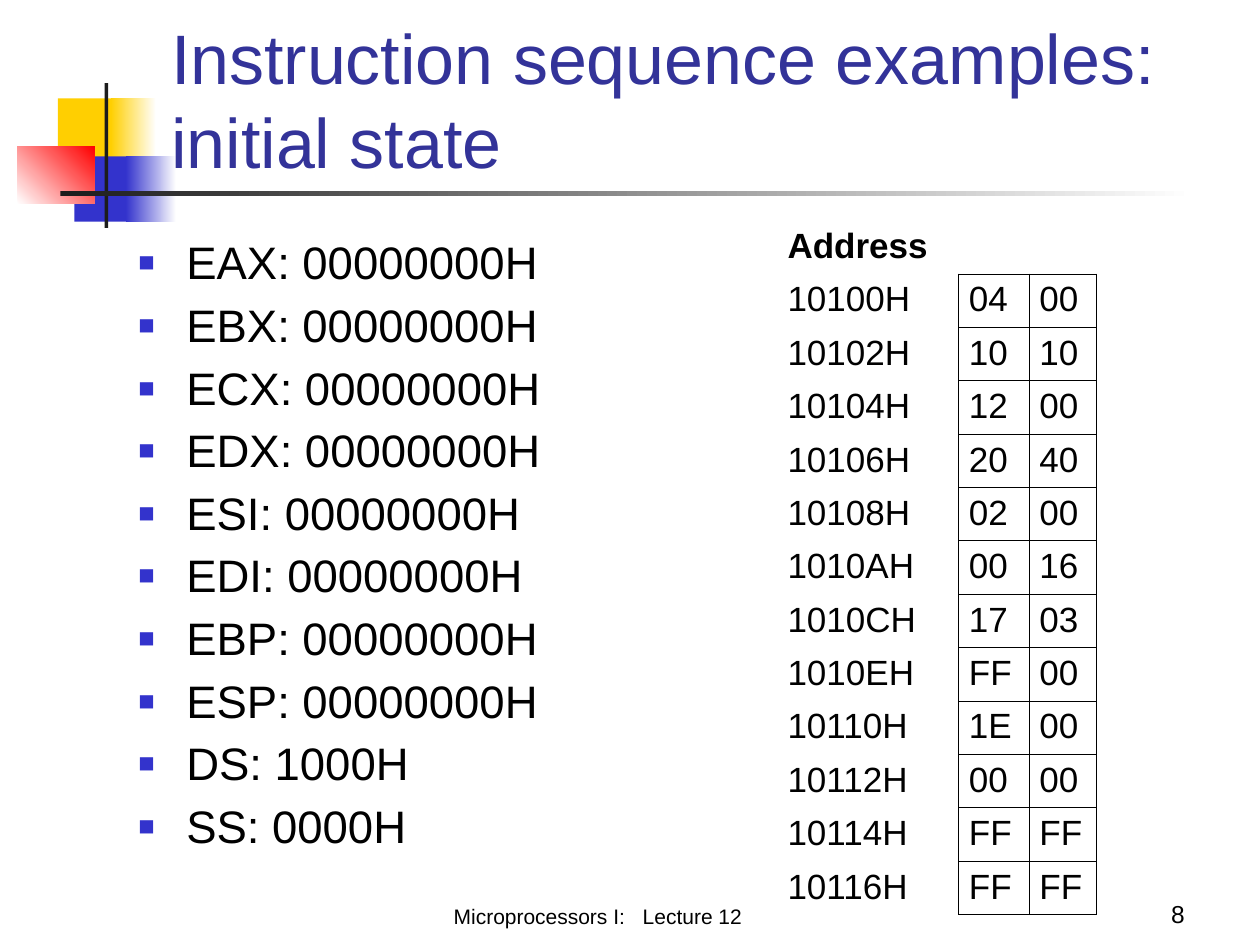
"""Build the slide on the initial state for instruction sequence examples."""
from lxml import etree
from pptx import Presentation
from pptx.dml.color import RGBColor
from pptx.enum.shapes import MSO_SHAPE
from pptx.enum.text import MSO_ANCHOR, PP_ALIGN
from pptx.oxml.ns import qn
from pptx.util import Inches, Pt

RECT = MSO_SHAPE.RECTANGLE
TOP, BOTTOM = MSO_ANCHOR.TOP, MSO_ANCHOR.BOTTOM
LEFT, CENTER, RIGHT = PP_ALIGN.LEFT, PP_ALIGN.CENTER, PP_ALIGN.RIGHT
JUSTIFY = PP_ALIGN.JUSTIFY

THEME = {
    "font": "Arial",
    "title": "333399", "text": "000000", "paper": "FFFFFF",
    "gold": "FFCF01", "blue": "3333CC", "red": "FF0000", "dark": "1C1C1C",
    "title_size": 40, "list_size": 26, "table_size": 20,
    "foot_size": 12, "page_size": 14,
}

TITLE = "Instruction sequence examples: initial state"
ZERO = "00000000H"
STATE = [(name, ZERO) for name in
         ("EAX", "EBX", "ECX", "EDX", "ESI", "EDI", "EBP", "ESP")]
STATE += [("DS", "1000H"), ("SS", "0000H")]
MEMORY = [
    ("Address", "", ""),
    ("10100H", "04", "00"),
    ("10102H", "10", "10"),
    ("10104H", "12", "00"),
    ("10106H", "20", "40"),
    ("10108H", "02", "00"),
    ("1010AH", "00", "16"),
    ("1010CH", "17", "03"),
    ("1010EH", "FF", "00"),
    ("10110H", "1E", "00"),
    ("10112H", "00", "00"),
    ("10114H", "FF", "FF"),
    ("10116H", "FF", "FF"),
]
COURSE, LECTURE, PAGE = "Microprocessors I:", "Lecture 12", "8"

DECOR = [
    ((0.46, 0.78, 0.48, 0.52), ("gold",), 0),
    ((0.88, 0.78, 0.36, 0.52), ("gold", "paper"), 0),
    ((0.59, 1.24, 0.46, 0.52), ("blue",), 0),
    ((1, 1.24, 0.4, 0.52), ("blue", "paper"), 0),
    ((0.14, 1.16, 0.61, 0.46), ("paper", "red"), 45),
    ((0.83, 0.66, 0.03, 1.15), ("dark",), 0),
    ((0.48, 1.52, 9, 0.04), ("dark", "paper"), 0),
]
COLUMNS = (1.44, 0.56, 0.53)
ROW = 0.41


def color(key):
    return RGBColor.from_string(THEME[key])


def add_run(para, text, size, key="text", bold=False):
    run = para.add_run()
    run.text = text
    run.font.name = THEME["font"]
    run.font.size = Pt(THEME[size])
    run.font.bold = bold
    run.font.color.rgb = color(key)
    return run


def add_box(slide, place, anchor, align=LEFT):
    frame = slide.shapes.add_textbox(*map(Inches, place)).text_frame
    frame.word_wrap = True
    frame.vertical_anchor = anchor
    frame.paragraphs[0].alignment = align
    return frame


def add_decor(slide):
    for place, keys, angle in DECOR:
        shape = slide.shapes.add_shape(RECT, *map(Inches, place))
        shape.shadow.inherit = False
        shape.line.fill.background()
        if len(keys) == 1:
            shape.fill.solid()
            shape.fill.fore_color.rgb = color(keys[0])
        else:
            shape.fill.gradient()
            shape.fill.gradient_angle = angle
            for stop, key in zip(shape.fill.gradient_stops, keys):
                stop.color.rgb = color(key)


def add_bullet(para):
    props = para._p.get_or_add_pPr()
    props.set("marL", str(Inches(0.38)))
    props.set("indent", str(-Inches(0.38)))
    tint = etree.SubElement(props, qn("a:buClr"))
    etree.SubElement(tint, qn("a:srgbClr"), val=THEME["blue"])
    etree.SubElement(props, qn("a:buSzPct"), val="60000")
    etree.SubElement(props, qn("a:buFont"), typeface=THEME["font"])
    etree.SubElement(props, qn("a:buChar"), char="■")


def add_state(slide):
    frame = add_box(slide, (1, 1.83, 4.31, 4.87), TOP)
    frame.margin_top = Inches(0.08)
    for i, (name, value) in enumerate(STATE):
        para = frame.add_paragraph() if i else frame.paragraphs[0]
        add_bullet(para)
        para.line_spacing = 0.9
        if i:
            para.space_before = Pt(7.7)
        add_run(para, f"{name}: {value}", "list_size")


def set_border(cell, dark):
    props = cell._tc.get_or_add_tcPr()
    for side in "LRTB":
        line = etree.SubElement(props, qn(f"a:ln{side}"), w=str(Pt(0.45)))
        fill = etree.SubElement(line, qn("a:solidFill"))
        key = "text" if side in dark else "paper"
        etree.SubElement(fill, qn("a:srgbClr"), val=THEME[key])


def dark_sides(row, col):
    if row and col:
        return "LRTB"
    if row:
        return "R"
    return "B" if col else ""


def add_memory(slide):
    count = len(MEMORY)
    place = (6.17, 1.75, sum(COLUMNS), ROW * count)
    table = slide.shapes.add_table(
        count, len(COLUMNS), *map(Inches, place)).table
    table.first_row = table.horz_banding = False
    for column, width in zip(table.columns, COLUMNS):
        column.width = Inches(width)
    for r, values in enumerate(MEMORY):
        table.rows[r].height = Inches(ROW)
        for c, text in enumerate(values):
            cell = table.cell(r, c)
            cell.margin_left = cell.margin_right = Inches(0.08)
            cell.margin_top, cell.margin_bottom = Inches(0.05), Inches(0.04)
            set_border(cell, dark_sides(r, c))
            cell.fill.solid()
            cell.fill.fore_color.rgb = color("paper")
            para = cell.text_frame.paragraphs[0]
            para.alignment = LEFT if c else JUSTIFY
            if text:
                add_run(para, text, "table_size", bold=r == 0)


def add_footer(slide):
    para = add_box(slide, (2.08, 6.92, 5.33, 0.5), BOTTOM, CENTER).paragraphs[0]
    add_run(para, COURSE, "foot_size")
    gap = add_run(para, " ", "foot_size")
    gap._r.get_or_add_rPr().set("spc", "667")
    add_run(para, LECTURE, "foot_size")
    page = add_box(slide, (7.42, 6.92, 2.08, 0.5), BOTTOM, RIGHT)
    add_run(page.paragraphs[0], PAGE, "page_size")


def main():
    deck = Presentation()
    deck.slide_width, deck.slide_height = Inches(10), Inches(7.5)
    slide = deck.slides.add_slide(deck.slide_layouts[6])
    add_decor(slide)
    title = add_box(slide, (1.26, 0.25, 8.52, 1.25), BOTTOM)
    add_run(title.paragraphs[0], TITLE, "title_size", "title")
    add_state(slide)
    add_memory(slide)
    add_footer(slide)
    deck.save("out.pptx")


if __name__ == "__main__":
    main()
